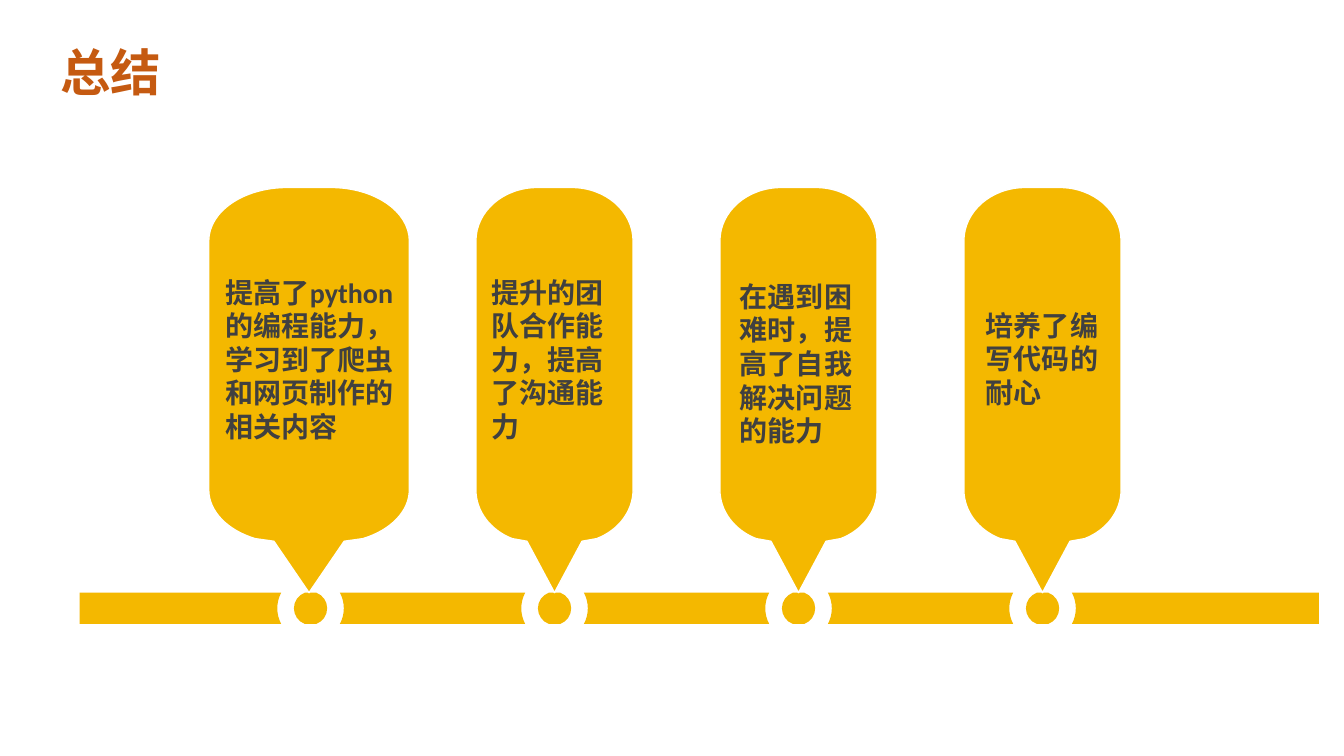
import math
from dataclasses import dataclass

import lxml.etree
import pptx
import pptx.dml.color
import pptx.enum.text
import pptx.oxml.ns
import pptx.util
from pptx.util import Inches


@dataclass(frozen=True)
class Theme:
    """Colours, fonts and type sizes of the slide."""
    gold: str = "F4B800"
    white: str = "FFFFFF"
    ink: str = "404040"
    orange: str = "C55A11"
    body_font: str = "Calibri"
    chinese_font: str = "Noto Sans CJK SC"
    body_size: int = 20
    title_size: int = 36


THEME = Theme()
FIRST_STOP, STOP_STEP = 3.08, 2.42
CALLOUT_TOP, CALLOUT_HEIGHT = 1.86, 4.02
SUMMARIES = [
    (2.07, 1.99, "提高了python的编程能力，学习到了爬虫和网页制作的相关内容", (2.14, 2.68, 1.99, 1.78)),
    (4.72, 1.56, "提升的团队合作能力，提高了沟通能力", (4.78, 2.68, 1.52, 1.78)),
    (7.14, 1.56, "在遇到困难时，提高了自我解决问题的能力", (7.24, 2.72, 1.37, 1.78)),
    (9.56, 1.56, "培养了编写代码的耐心", (9.68, 3.01, 1.45, 1.11)),
]


def color(value):
    """Return an RGB colour from its hex value."""
    return pptx.dml.color.RGBColor.from_string(value)


def arc(center_x, center_y, radius_x, radius_y, start, end, parts=1):
    """Return a start point and Bezier curves along an ellipse, in degrees."""
    def at(angle, pull=0):
        return (center_x + radius_x * (math.cos(angle) - pull * math.sin(angle)),
                center_y + radius_y * (math.sin(angle) + pull * math.cos(angle)))

    step = math.radians(end - start) / parts
    pull = 4 / 3 * math.tan(step / 4)
    angles = [math.radians(start) + step * part for part in range(parts + 1)]
    curves = [(at(first, pull), at(last, -pull), at(last))
              for first, last in zip(angles, angles[1:])]
    return [(at(angles[0]),)] + curves


def add_outline(slide, contours, outlined=False):
    """Draw closed contours of lines and curves, in inches, as one gold shape."""
    builder = None
    for contour in contours:
        points = [(Inches(x), Inches(y)) for segment in contour for x, y in segment]
        if builder is None:
            builder = slide.shapes.build_freeform(*points[0], scale=1.0)
        else:
            builder.move_to(*points[0])
        builder.add_line_segments(points[1:], close=True)
    shape = builder.convert_to_shape()
    lines = shape.element.iter(pptx.oxml.ns.qn("a:lnTo"))
    bend_lines(list(lines), [segment for contour in contours for segment in contour[1:]])
    shape.shadow.inherit = False
    shape.fill.solid()
    shape.fill.fore_color.rgb = color(THEME.gold)
    if outlined:
        shape.line.color.rgb = color(THEME.white)
        shape.line.width = pptx.util.Pt(1)
    else:
        shape.line.fill.background()


def bend_lines(lines, segments):
    """Join the three lines of each three-point segment into one cubic curve."""
    remaining = iter(lines)
    for segment in segments:
        group = [next(remaining) for _ in segment]
        if len(group) == 3:
            curve = lxml.etree.Element(pptx.oxml.ns.qn("a:cubicBezTo"))
            group[0].addprevious(curve)
            for line in group:
                curve.append(line[0])
                line.getparent().remove(line)


def write_text(shape, text, font_name, size, text_color):
    """Write one bold, left-aligned paragraph into a shape."""
    frame = shape.text_frame
    frame.word_wrap = True
    frame.auto_size = pptx.enum.text.MSO_AUTO_SIZE.NONE
    frame.vertical_anchor = pptx.enum.text.MSO_ANCHOR.TOP
    paragraph = frame.paragraphs[0]
    paragraph.text = text
    paragraph.alignment = pptx.enum.text.PP_ALIGN.LEFT
    paragraph.line_spacing = 1.0
    paragraph.space_before = pptx.util.Pt(0)
    font = paragraph.font
    font.name, font.size, font.bold = font_name, pptx.util.Pt(size), True
    font.color.rgb = color(text_color)
    latin = paragraph._p.find(".//" + pptx.oxml.ns.qn("a:latin"))
    east_asian = lxml.etree.Element(pptx.oxml.ns.qn("a:ea"), typeface=THEME.chinese_font)
    latin.addnext(east_asian)


def add_title(slide, left, top, width, height):
    """Place the slide title."""
    title = slide.shapes.title
    title.left, title.top = Inches(left), Inches(top)
    title.width, title.height = Inches(width), Inches(height)
    write_text(title, "总结", THEME.chinese_font, THEME.title_size, THEME.orange)


def add_timeline(slide, left, top, width, height, stops):
    """Draw a bar broken by a round gap and a dot at each stop."""
    middle, bottom, right = top + height / 2, top + height, left + width
    gap, dot = 0.33, 0.165
    gap_angle = math.degrees(math.asin(height / 2 / gap))
    dot_angle = math.degrees(math.asin(height / 2 / dot))
    contours = []
    start_edge = [((left, bottom),), ((left, top),)]
    for stop in stops:
        contours.append(start_edge + arc(stop, middle, gap, gap,
                                         180 + gap_angle, 180 - gap_angle, 2))
        contours.append(arc(stop, middle, dot, dot, -dot_angle, dot_angle, 2)
                        + arc(stop, middle, dot, dot, 180 - dot_angle, 180 + dot_angle, 2))
        start_edge = arc(stop, middle, gap, gap, gap_angle, -gap_angle, 2)
    contours.append(start_edge + [((right, top),), ((right, bottom),)])
    add_outline(slide, contours)


def add_callout(slide, left, top, width, height):
    """Draw a rounded callout whose tail points down to the box bottom."""
    radius_x, radius_y = 0.39 * width, 0.53
    near, far = left + radius_x, left + width - radius_x
    upper, lower = top + radius_y, top + height - 1.02
    center, tail, tail_top = left + width / 2, 0.175 * width, top + height - 0.51
    contour = (arc(near, upper, radius_x, radius_y, 180, 270)
               + arc(far, upper, radius_x, radius_y, 270, 360)
               + arc(far, lower, radius_x, radius_y, 0, 66)
               + [((center + tail, tail_top),), ((center, top + height),),
                  ((center - tail, tail_top),)]
               + arc(near, lower, radius_x, radius_y, 114, 180))
    add_outline(slide, [contour], outlined=True)


def add_summary(slide, text, left, top, width, height):
    """Place the text of one callout."""
    box = slide.shapes.add_textbox(Inches(left), Inches(top), Inches(width), Inches(height))
    write_text(box, text, THEME.body_font, THEME.body_size, THEME.ink)


def main():
    """Build and save the presentation."""
    presentation = pptx.Presentation()
    presentation.slide_width, presentation.slide_height = Inches(13.33), Inches(7.5)
    slide = presentation.slides.add_slide(presentation.slide_layouts.get_by_name("Title Only"))
    add_title(slide, 0.5, 0.36, 4.72, 0.71)
    stops = [FIRST_STOP + STOP_STEP * index for index in range(len(SUMMARIES))]
    add_timeline(slide, 0.79, 5.88, 12.29, 0.31, stops)
    for left, width, text, text_box in SUMMARIES:
        add_callout(slide, left, CALLOUT_TOP, width, CALLOUT_HEIGHT)
        add_summary(slide, text, *text_box)
    presentation.save("out.pptx")


if __name__ == "__main__":
    main()
